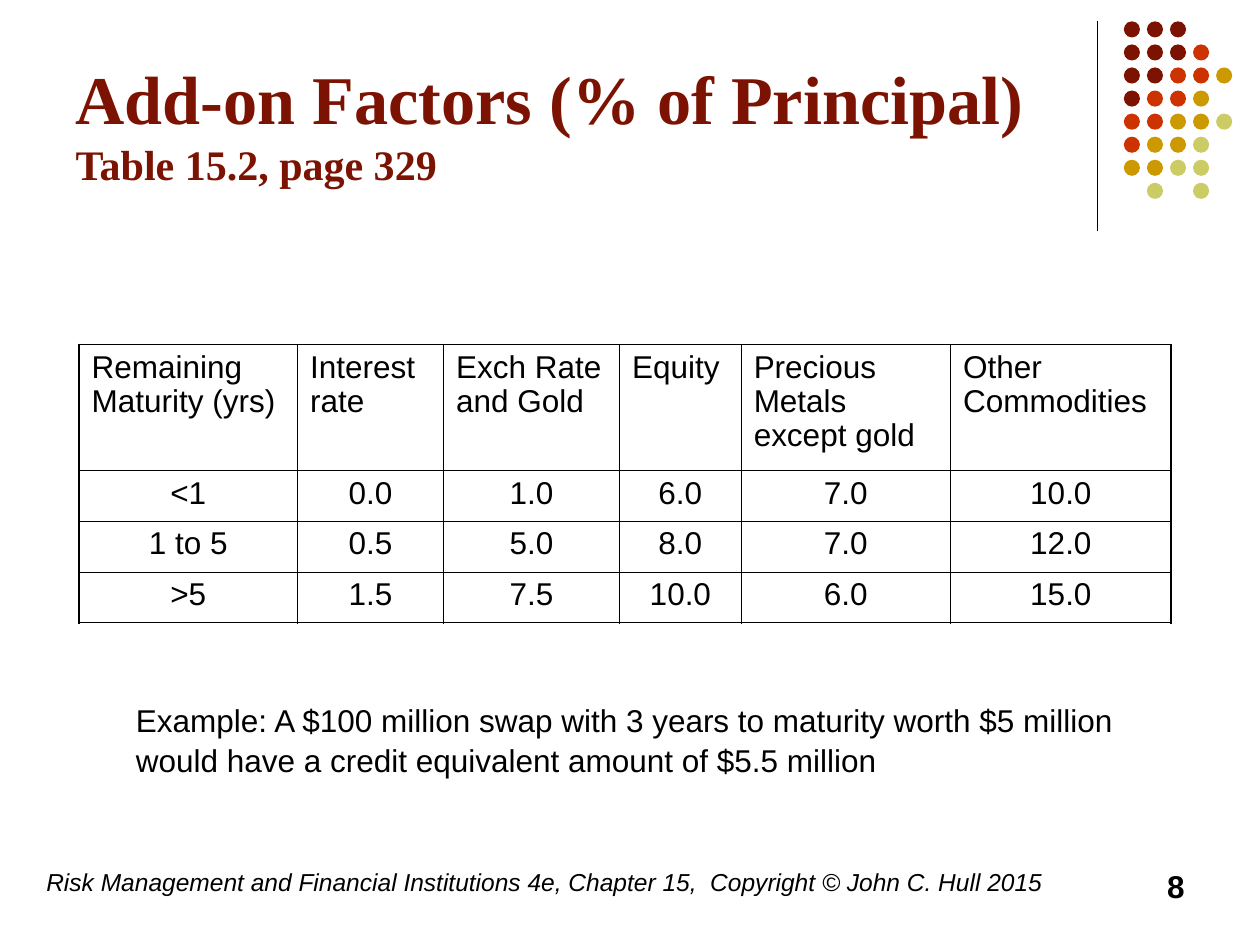
from dataclasses import dataclass

from lxml.etree import SubElement
from pptx import Presentation
from pptx.dml.color import RGBColor
from pptx.enum.shapes import MSO_CONNECTOR, MSO_SHAPE
from pptx.enum.text import MSO_ANCHOR, MSO_AUTO_SIZE, PP_ALIGN
from pptx.oxml.ns import qn
from pptx.util import Pt


@dataclass(frozen=True)
class Theme:
    ink: str = "000000"
    title: str = "7C1302"
    title_font: str = "Times New Roman"
    body_font: str = "Arial"
    title_size: float = 39
    subtitle_size: float = 24
    body_size: float = 18
    footer_size: float = 14
    inner_border: float = 0.45
    outer_border: float = 1.08


THEME = Theme()
TITLE = "Add-on Factors (% of Principal) "
SUBTITLE = "Table 15.2, page 329"
EXAMPLE = ("Example: A $100 million swap with 3 years to maturity worth $5 million "
           "would have a credit equivalent amount of $5.5 million")
FOOTER = "Risk Management and Financial Institutions 4e, Chapter 15,  Copyright © John C. Hull 2015"
PAGE_NUMBER = "8"

FACTORS = [
    ["Remaining Maturity (yrs)", "Interest rate", "Exch Rate and Gold", "Equity",
     "Precious Metals except gold", "Other Commodities"],
    ["<1", "0.0", "1.0", "6.0", "7.0", "10.0"],
    ["1 to 5", "0.5", "5.0", "8.0", "7.0", "12.0"],
    [">5", "1.5", "7.5", "10.0", "6.0", "15.0"],
]
COLUMN_WIDTHS = [124.8, 83.5, 100.6, 69.5, 119.6, 126.2]
ROW_HEIGHTS = [72, 29, 29, 29]

# One letter per dot; a blank leaves the grid position empty.
DOT_ROWS = ["DDD", "DDDR", "DDRRG", "DRRG", "RRGGL", "RGGL", "GGLL", " L L"]
DOT_COLOURS = {"D": "7C1302", "R": "CC3300", "G": "CC9900", "L": "CCCC66"}
DOT_LEFT, DOT_TOP, DOT_PITCH, DOT_SIZE = 642.2, 12.2, 13.18, 9.2


def add_text(paragraph, text, size=THEME.body_size, font=THEME.body_font, colour=THEME.ink,
             bold=False, italic=False, align=PP_ALIGN.LEFT, line_spacing=1.0):
    paragraph.alignment = align
    paragraph.line_spacing = line_spacing
    run = paragraph.add_run()
    run.text = text
    run.font.size = Pt(size)
    run.font.name = font
    run.font.bold = bold
    run.font.italic = italic
    run.font.color.rgb = RGBColor.from_string(colour)


def place(shape, left, top, width, height):
    shape.left, shape.top, shape.width, shape.height = map(Pt, (left, top, width, height))


def add_text_box(slide, box, text, **text_format):
    frame = slide.shapes.add_textbox(*map(Pt, box)).text_frame
    frame.word_wrap = True
    add_text(frame.paragraphs[0], text, **text_format)


def add_title(slide):
    title = slide.shapes.title
    place(title, 36, 9.4, 594, 102.2)
    frame = title.text_frame
    frame.vertical_anchor = MSO_ANCHOR.BOTTOM
    frame.auto_size = MSO_AUTO_SIZE.NONE
    frame.word_wrap = True
    for text, size in ((TITLE, THEME.title_size), (SUBTITLE, THEME.subtitle_size)):
        add_text(frame.paragraphs[0], text, size=size, font=THEME.title_font,
                 colour=THEME.title, bold=True)


def add_dots(slide):
    dots = slide.shapes.add_group_shape()
    for row, letters in enumerate(DOT_ROWS):
        for column, letter in enumerate(letters):
            if letter == " ":
                continue
            dot = dots.shapes.add_shape(
                MSO_SHAPE.OVAL, Pt(DOT_LEFT + column * DOT_PITCH),
                Pt(DOT_TOP + row * DOT_PITCH), Pt(DOT_SIZE), Pt(DOT_SIZE))
            dot.shadow.inherit = False
            dot.fill.solid()
            dot.fill.fore_color.rgb = RGBColor.from_string(DOT_COLOURS[letter])
            dot.line.fill.background()


def add_divider(slide):
    divider = slide.shapes.add_connector(
        MSO_CONNECTOR.STRAIGHT, Pt(627), Pt(12), Pt(627), Pt(132))
    divider.line.width = Pt(0.75)
    divider.line.color.rgb = RGBColor.from_string(THEME.ink)
    SubElement(divider.element.spPr, qn("a:effectLst"))


def set_borders(cell, outer_edges):
    """Draw all four edges, thicker where the edge is on the table's outline."""
    properties = cell._tc.get_or_add_tcPr()
    for edge, is_outer in outer_edges.items():
        width = THEME.outer_border if is_outer else THEME.inner_border
        line = SubElement(properties, qn(f"a:ln{edge}"), w=str(Pt(width)))
        fill = SubElement(line, qn("a:solidFill"))
        SubElement(fill, qn("a:srgbClr"), val=THEME.ink)


def add_factor_table(slide):
    last_row, last_column = len(ROW_HEIGHTS) - 1, len(COLUMN_WIDTHS) - 1
    table = slide.shapes.add_table(
        len(ROW_HEIGHTS), len(COLUMN_WIDTHS), Pt(45.2), Pt(196.8),
        Pt(sum(COLUMN_WIDTHS)), Pt(sum(ROW_HEIGHTS))).table
    table.first_row = table.horz_banding = False
    for column, width in zip(table.columns, COLUMN_WIDTHS):
        column.width = Pt(width)
    for row, height in zip(table.rows, ROW_HEIGHTS):
        row.height = Pt(height)
    for row, texts in enumerate(FACTORS):
        for column, text in enumerate(texts):
            cell = table.cell(row, column)
            add_text(cell.text_frame.paragraphs[0], text, line_spacing=0.97,
                     align=PP_ALIGN.CENTER if row else PP_ALIGN.LEFT)
            set_borders(cell, {"L": column == 0, "R": column == last_column,
                               "T": row == 0, "B": row == last_row})
            cell.fill.background()


def main():
    presentation = Presentation()
    presentation.slide_width, presentation.slide_height = Pt(720), Pt(540)
    slide = presentation.slides.add_slide(presentation.slide_layouts[5])
    add_divider(slide)
    add_dots(slide)
    add_title(slide)
    add_text_box(slide, (19.4, 491.8, 595.4, 36), FOOTER, size=THEME.footer_size, italic=True)
    add_factor_table(slide)
    add_text_box(slide, (70.6, 396, 601.2, 50.4), EXAMPLE, line_spacing=1.05)
    add_text_box(slide, (516.2, 491.8, 167.8, 36), PAGE_NUMBER, bold=True, align=PP_ALIGN.RIGHT)
    presentation.save("out.pptx")


if __name__ == "__main__":
    main()
